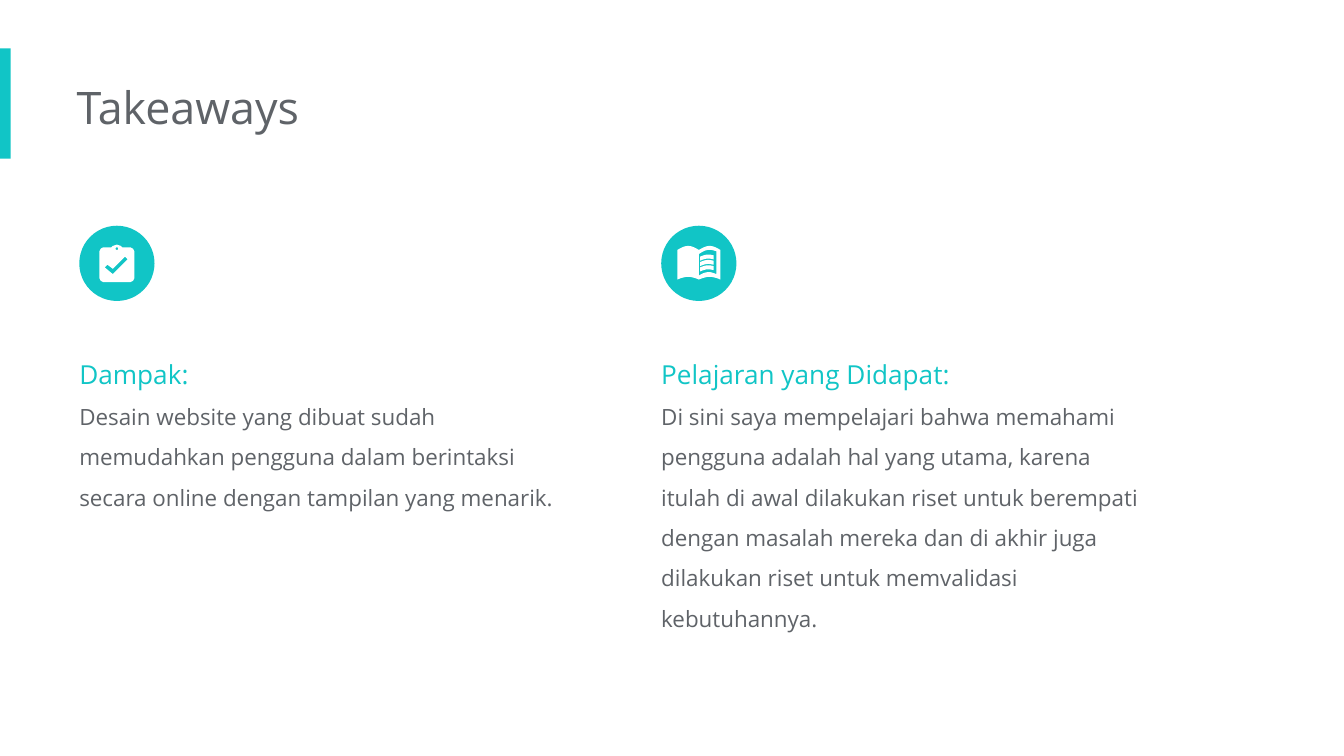
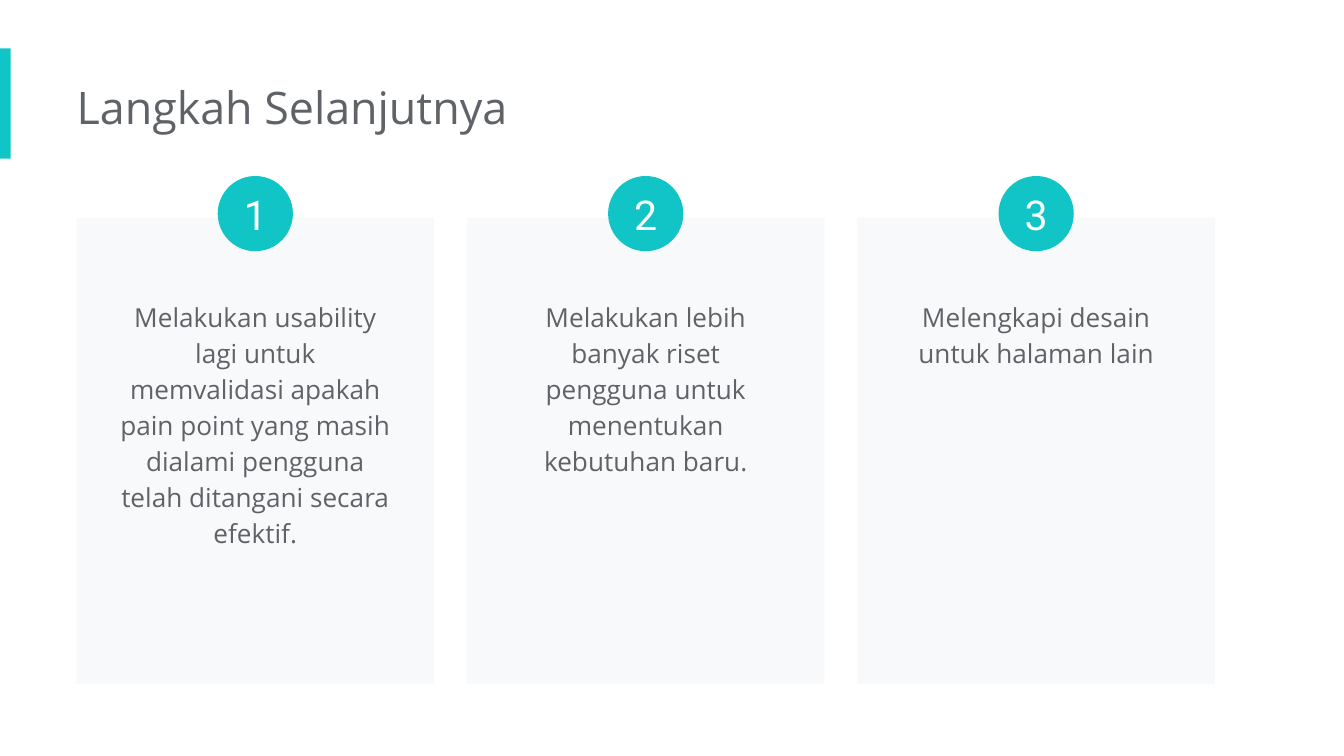
"""Build the takeaways slide and the next-steps slide."""
from dataclasses import dataclass
from math import cos, pi, sin

from pptx import Presentation
from pptx.dml.color import RGBColor
from pptx.enum.shapes import MSO_SHAPE
from pptx.enum.text import MSO_ANCHOR, MSO_AUTO_SIZE, PP_ALIGN
from pptx.util import Inches, Pt


@dataclass(frozen=True)
class Theme:
    accent: str = "11C5C6"
    ink: str = "5F6368"
    card: str = "F8F9FA"
    white: str = "FFFFFF"
    font: str = "Open Sans"
    number_font: str = "Roboto"
    title: int = 24
    number: int = 22
    large: int = 14
    body: int = 12


THEME = Theme()
WIDTH = 10
HEIGHT = WIDTH * 9 / 16
BAND = (0, 0.36, 0.08, 0.82)
TITLE_AREA = (0.57, 0.49, 5.39, 0.61)
DISC = 0.56
INSET = 0.1

TAKEAWAYS_TITLE = "Takeaways"
TAKEAWAYS = [
    ("clipboard", "Dampak:",
     "Desain website yang dibuat sudah memudahkan pengguna dalam berintaksi "
     "secara online dengan tampilan yang menarik.", 1.46),
    ("book", "Pelajaran yang Didapat:",
     "Di sini saya mempelajari bahwa memahami pengguna adalah hal yang utama, "
     "karena itulah di awal dilakukan riset untuk berempati dengan masalah mereka "
     "dan di akhir juga dilakukan riset untuk memvalidasi kebutuhannya.", 2.27),
]
COLUMN = {"left": 0.59, "pitch": 4.33, "width": 3.77, "disc_top": 1.68, "text_top": 2.45}

STEPS_TITLE = "Langkah Selanjutnya"
STEPS = [
    ("Melakukan usability lagi untuk memvalidasi apakah pain point yang masih "
     "dialami pengguna telah ditangani secara efektif.", 2.33),
    ("Melakukan lebih banyak riset pengguna untuk menentukan kebutuhan baru.", 1.52),
    ("Melengkapi desain untuk halaman lain", 0.98),
]
CARD = {"left": 0.57, "right": 9.04, "top": 1.62, "width": 2.66, "height": 3.47,
        "padding": 0.21, "text_top": 2.11, "disc_top": 1.31}


def wave(left, right, start, end, rise, count=12):
    """Return points along an arched page edge."""
    shares = [step / count for step in range(count + 1)]
    return [(left + (right - left) * share,
             start + (end - start) * share - rise * sin(pi * share)) for share in shares]


def ring(x, y, radius, count=16):
    """Return points around a circle."""
    return [(x + radius * cos(2 * pi * step / count), y + radius * sin(2 * pi * step / count))
            for step in range(count)]


def page_line(row):
    """Return the outline of one printed line on the right page."""
    top = -0.05 + 0.04 * row
    return (wave(0.01, 0.11, top, top - 0.01, 0.01)
            + wave(0.01, 0.11, top + 0.03, top + 0.02, 0.01)[::-1])


CLIPBOARD = [
    [(0.1, -0.12), (0.12, -0.11), (0.13, -0.09), (0.13, 0.11), (0.12, 0.13), (0.1, 0.14),
     (-0.1, 0.14), (-0.12, 0.13), (-0.13, 0.11), (-0.13, -0.09), (-0.12, -0.11),
     (-0.1, -0.12), (-0.04, -0.12), (-0.03, -0.13), (0, -0.14), (0.03, -0.13), (0.04, -0.12)],
    ring(0, -0.11, 0.01),
    [(-0.03, 0.08), (-0.09, 0.03), (-0.07, 0.01), (-0.03, 0.04), (0.06, -0.05), (0.08, -0.03)],
]
BOOK = [
    wave(-0.16, 0, -0.1, -0.1, 0.03) + wave(0, 0.16, -0.1, -0.1, 0.03)
    + wave(0, 0.16, 0.12, 0.12, 0.02)[::-1] + wave(-0.16, 0, 0.12, 0.12, 0.02)[::-1],
    wave(0, 0.13, -0.07, -0.09, 0.02) + wave(0, 0.13, 0.09, 0.08, 0.02)[::-1],
]
ICONS = {"clipboard": [CLIPBOARD], "book": [BOOK] + [[page_line(row)] for row in range(3)]}


def paint(shape, color):
    """Give a shape a flat fill without line or shadow."""
    shape.fill.solid()
    shape.fill.fore_color.rgb = RGBColor.from_string(color)
    shape.line.fill.background()
    shape.shadow.inherit = False


def add_block(page, kind, area, color):
    """Add a flat preset shape."""
    shape = page.shapes.add_shape(kind, *map(Inches, area))
    paint(shape, color)
    return shape


def write(shape, paragraphs, left_inset=0, inset=INSET, **frame_format):
    """Fill a shape with (text, size, color, font, paragraph format) entries."""
    frame = shape.text_frame
    values = {"word_wrap": True, "auto_size": MSO_AUTO_SIZE.SHAPE_TO_FIT_TEXT,
              "vertical_anchor": MSO_ANCHOR.TOP, "margin_left": Inches(left_inset),
              "margin_right": Inches(inset), "margin_top": Inches(inset),
              "margin_bottom": Inches(inset), **frame_format}
    for name, value in values.items():
        setattr(frame, name, value)
    for index, (text, size, color, font, layout) in enumerate(paragraphs):
        para = frame.add_paragraph() if index else frame.paragraphs[0]
        for name, value in {"alignment": PP_ALIGN.LEFT, **layout}.items():
            setattr(para, name, value)
        span = para.add_run()
        span.text = text
        for name, value in {"size": Pt(size), "name": font}.items():
            setattr(span.font, name, value)
        span.font.color.rgb = RGBColor.from_string(color)


def add_icon(page, name, center_x, center_y):
    """Draw a white icon around a centre point."""
    for contours in ICONS[name]:
        placed = [[(Inches(center_x + x), Inches(center_y + y)) for x, y in contour]
                  for contour in contours]
        builder = page.shapes.build_freeform(*placed[0][0], scale=1.0)
        for index, points in enumerate(placed):
            if index:
                builder.move_to(*points[0])
            builder.add_line_segments(points[1:], close=True)
        paint(builder.convert_to_shape(), THEME.white)


def add_page(deck, title):
    """Add a slide with the accent band and its title."""
    page = deck.slides.add_slide(deck.slide_layouts[5])
    add_block(page, MSO_SHAPE.RECTANGLE, BAND, THEME.accent)
    box = page.shapes.title
    for name, value in zip(("left", "top", "width", "height"), TITLE_AREA):
        setattr(box, name, Inches(value))
    write(box, [(title, THEME.title, THEME.ink, THEME.font, {})])
    return page


def add_takeaways(deck):
    """Build two columns, each with an icon, a heading and a text."""
    page = add_page(deck, TAKEAWAYS_TITLE)
    spacing = {"line_spacing": 1.5}
    for index, (icon, heading, text, height) in enumerate(TAKEAWAYS):
        left = COLUMN["left"] + index * COLUMN["pitch"]
        top = COLUMN["disc_top"]
        area = (left, COLUMN["text_top"], COLUMN["width"], height)
        write(page.shapes.add_textbox(*map(Inches, area)), [
            (heading, THEME.large, THEME.accent, THEME.font, spacing),
            (text, THEME.body, THEME.ink, THEME.font, spacing)])
        add_block(page, MSO_SHAPE.OVAL, (left, top, DISC, DISC), THEME.accent)
        add_icon(page, icon, left + DISC / 2, top + DISC / 2)


def add_steps(deck):
    """Build a row of numbered cards."""
    page = add_page(deck, STEPS_TITLE)
    width, padding = CARD["width"], CARD["padding"]
    pitch = (CARD["right"] - CARD["left"] - width) / (len(STEPS) - 1)
    centered = {"alignment": PP_ALIGN.CENTER}
    for index, (text, height) in enumerate(STEPS):
        left = CARD["left"] + index * pitch
        add_block(page, MSO_SHAPE.RECTANGLE, (left, CARD["top"], width, CARD["height"]),
                  THEME.card)
        area = (left + padding, CARD["text_top"], width - 2 * padding, height)
        write(page.shapes.add_textbox(*map(Inches, area)),
              [(text, THEME.large, THEME.ink, THEME.font, {**centered, "line_spacing": 1.15})],
              left_inset=INSET)
        disc = add_block(page, MSO_SHAPE.OVAL,
                         (left + (width - DISC) / 2, CARD["disc_top"], DISC, DISC),
                         THEME.accent)
        write(disc, [(str(index + 1), THEME.number, THEME.white, THEME.number_font, centered)],
              inset=0, auto_size=MSO_AUTO_SIZE.NONE, vertical_anchor=MSO_ANCHOR.MIDDLE)


def main():
    """Build and save the deck."""
    deck = Presentation()
    deck.slide_width, deck.slide_height = Inches(WIDTH), Inches(HEIGHT)
    add_takeaways(deck)
    add_steps(deck)
    deck.save("out.pptx")


if __name__ == "__main__":
    main()
